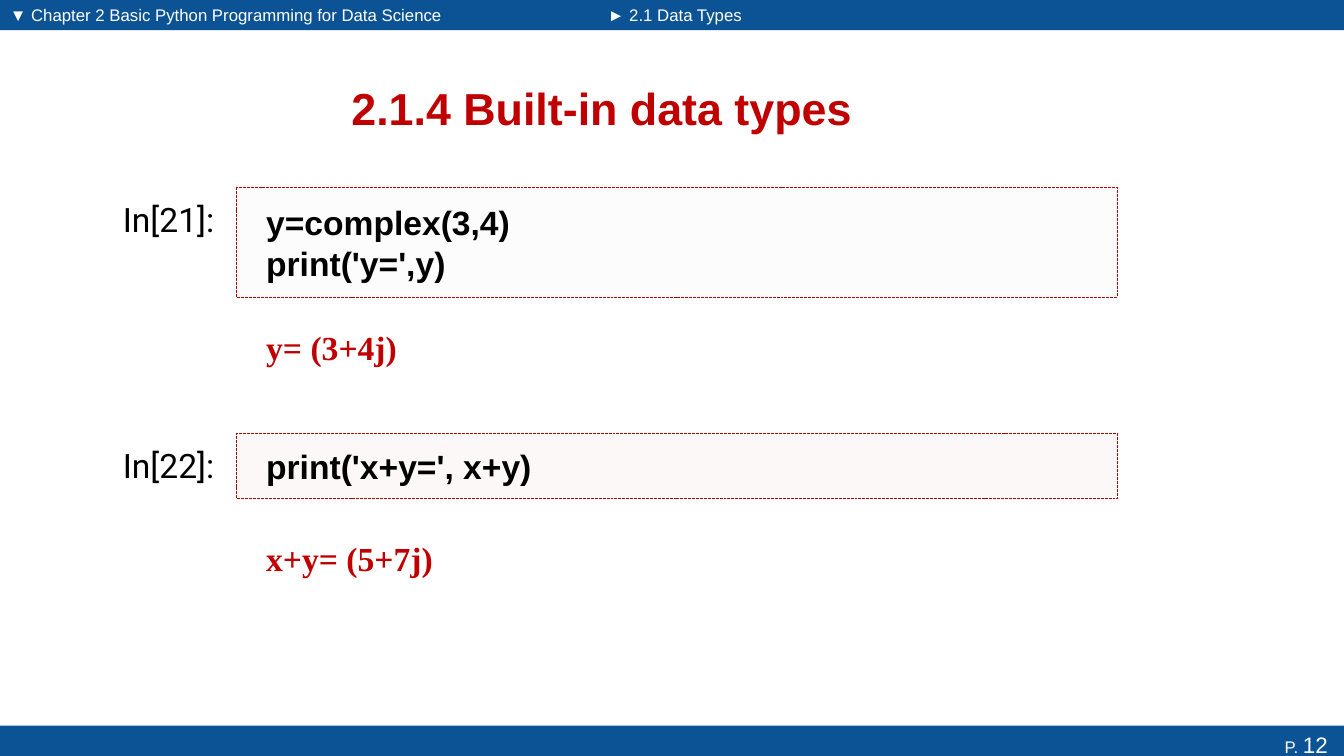
from lxml import etree
from pptx import Presentation
from pptx.dml.color import RGBColor
from pptx.enum.dml import MSO_LINE
from pptx.enum.shapes import MSO_SHAPE
from pptx.enum.text import MSO_ANCHOR, MSO_AUTO_SIZE, PP_ALIGN
from pptx.oxml.ns import qn
from pptx.util import Inches, Pt

RECT = MSO_SHAPE.RECTANGLE
SYS_DASH = MSO_LINE.SQUARE_DOT
TOP, MIDDLE = MSO_ANCHOR.TOP, MSO_ANCHOR.MIDDLE
LEFT, CENTER, RIGHT = PP_ALIGN.LEFT, PP_ALIGN.CENTER, PP_ALIGN.RIGHT

BLUE = RGBColor(0x0B, 0x53, 0x94)
WHITE = RGBColor(0xFF, 0xFF, 0xFF)
BLACK = RGBColor(0, 0, 0)
RED = RGBColor(0xC0, 0, 0)
BORDER_RED = RGBColor(0xAB, 0, 0)
LILAC = RGBColor(0xF1, 0xEE, 0xF4)
ROSE = RGBColor(0xED, 0xCD, 0xCB)

SLIDE_W, SLIDE_H = 13.33, 7.5
BAR_H = 0.3
CHAPTER_W = 5.93
CELL_LEFT, CELL_W = 1.12, 9.96
PROMPT_W = 1.23
CODE_PAD = 0.29

BAR_FONT = {"name": "Arial", "size": Pt(12), "color": WHITE}
TITLE_FONT = {"name": "Arial", "size": Pt(32), "color": RED, "bold": True}
PROMPT_FONT = {"name": "Roboto", "size": Pt(24), "color": BLACK}
CODE_FONT = {"name": "Arial", "size": Pt(24), "color": BLACK, "bold": True}
OUTPUT_FONT = {"name": "Times New Roman", "size": Pt(24), "color": RED, "bold": True}


def inches(box):
    return [Inches(length) for length in box]


def format_run(run, font):
    for key, value in font.items():
        if key == "color":
            run.font.color.rgb = value
        else:
            setattr(run.font, key, value)


def write(shape, lines, font, align=LEFT, anchor=TOP, pad=0.1):
    """Fill a shape with one paragraph per line, all in one font."""
    frame = shape.text_frame
    settings = {"word_wrap": True, "auto_size": MSO_AUTO_SIZE.NONE,
                "vertical_anchor": anchor, "margin_left": Inches(pad),
                "margin_right": Inches(0.1), "margin_top": Inches(0.05),
                "margin_bottom": Inches(0.05)}
    for key, value in settings.items():
        setattr(frame, key, value)
    for i, line in enumerate(lines):
        paragraph = frame.add_paragraph() if i else frame.paragraphs[0]
        paragraph.alignment = align
        run = paragraph.add_run()
        run.text = line
        format_run(run, font)


def place(slide, placeholder, box):
    """Move a placeholder to its box, in front of the shapes drawn so far."""
    placeholder.left, placeholder.top, placeholder.width, placeholder.height = inches(box)
    slide.shapes._spTree.append(placeholder._element)


def add_rect(shapes, box, color):
    rect = shapes.add_shape(RECT, *inches(box))
    rect.shadow.inherit = False
    rect.fill.solid()
    rect.fill.fore_color.rgb = color
    rect.line.fill.background()
    return rect


def add_header(slide, box, chapter, section):
    """Bar with the chapter on the left and the section on the right."""
    left, top, width, height = box
    chapter_box = (left, top, CHAPTER_W, height)
    section_box = (left + CHAPTER_W, top, width - CHAPTER_W, height)
    for bar_box in (chapter_box, section_box):
        add_rect(slide.shapes, bar_box, BLUE)

    write(slide.shapes.add_textbox(*inches(chapter_box)), [chapter], BAR_FONT)

    section_body = slide.placeholders[1]
    place(slide, section_body, section_box)
    write(section_body, [section], BAR_FONT)
    paragraph = section_body.text_frame.paragraphs[0]
    paragraph.space_before = Pt(0)
    properties = paragraph._p.get_or_add_pPr()
    properties.set("marL", "0")
    properties.set("indent", "0")
    etree.SubElement(properties, qn("a:buNone"))


def add_footer(slide, box, number):
    """Bar with the page number at its right end."""
    footer = add_rect(slide.shapes, box, BLUE)
    write(footer, ["P. "], BAR_FONT, align=RIGHT)
    footer.text_frame.margin_right = Inches(0.16)
    page = footer.text_frame.paragraphs[0].add_run()
    page.text = number
    format_run(page, {**BAR_FONT, "size": Pt(16)})


def add_title(slide, box, text):
    title = slide.shapes.title
    place(slide, title, box)
    write(title, [text], TITLE_FONT, align=CENTER, anchor=MIDDLE)


def add_cell(slide, box, prompt, code, code_h, tint, output, output_h=0.65):
    """Notebook cell: prompt, code in a dashed frame, output at the bottom."""
    left, top, width, height = box
    code_left, code_w = left + PROMPT_W, width - PROMPT_W
    shapes = slide.shapes.add_group_shape().shapes

    prompt_box = shapes.add_textbox(*inches((left, top + 0.06, PROMPT_W, 0.5)))
    write(prompt_box, [prompt], PROMPT_FONT)

    # Faint tint inside a dashed frame
    frame = add_rect(shapes, (code_left, top, code_w, code_h), tint)
    color = frame.fill._xPr.find(qn("a:solidFill"))[0]
    etree.SubElement(color, qn("a:alpha"), val="13000")
    frame.line.color.rgb = BORDER_RED
    frame.line.width = Pt(0.7)
    frame.line.dash_style = SYS_DASH
    write(frame, code, CODE_FONT, anchor=MIDDLE, pad=CODE_PAD)

    output_box = (code_left, top + height - output_h, code_w, output_h)
    write(shapes.add_textbox(*inches(output_box)), [output], OUTPUT_FONT,
          anchor=MIDDLE, pad=CODE_PAD)


def main():
    deck = Presentation()
    deck.slide_width, deck.slide_height = inches((SLIDE_W, SLIDE_H))
    slide = deck.slides.add_slide(deck.slide_layouts[1])

    add_header(slide, (0, 0, SLIDE_W, BAR_H),
               "▼ Chapter 2 Basic Python Programming for Data Science",
               "► 2.1 Data Types")
    add_footer(slide, (0, SLIDE_H - BAR_H, SLIDE_W, BAR_H), "12")
    add_title(slide, (0.61, 0.62, 10.72, 0.9), "2.1.4 Built-in data types")
    add_cell(slide, (CELL_LEFT, 1.86, CELL_W, 1.91), "In[21]:",
             ["y=complex(3,4)", "print('y=',y)"], 1.09, LILAC, "y= (3+4j)")
    add_cell(slide, (CELL_LEFT, 4.3, CELL_W, 1.56), "In[22]:",
             ["print('x+y=', x+y)"], 0.65, ROSE, "x+y= (5+7j)")
    deck.save("out.pptx")


if __name__ == "__main__":
    main()
